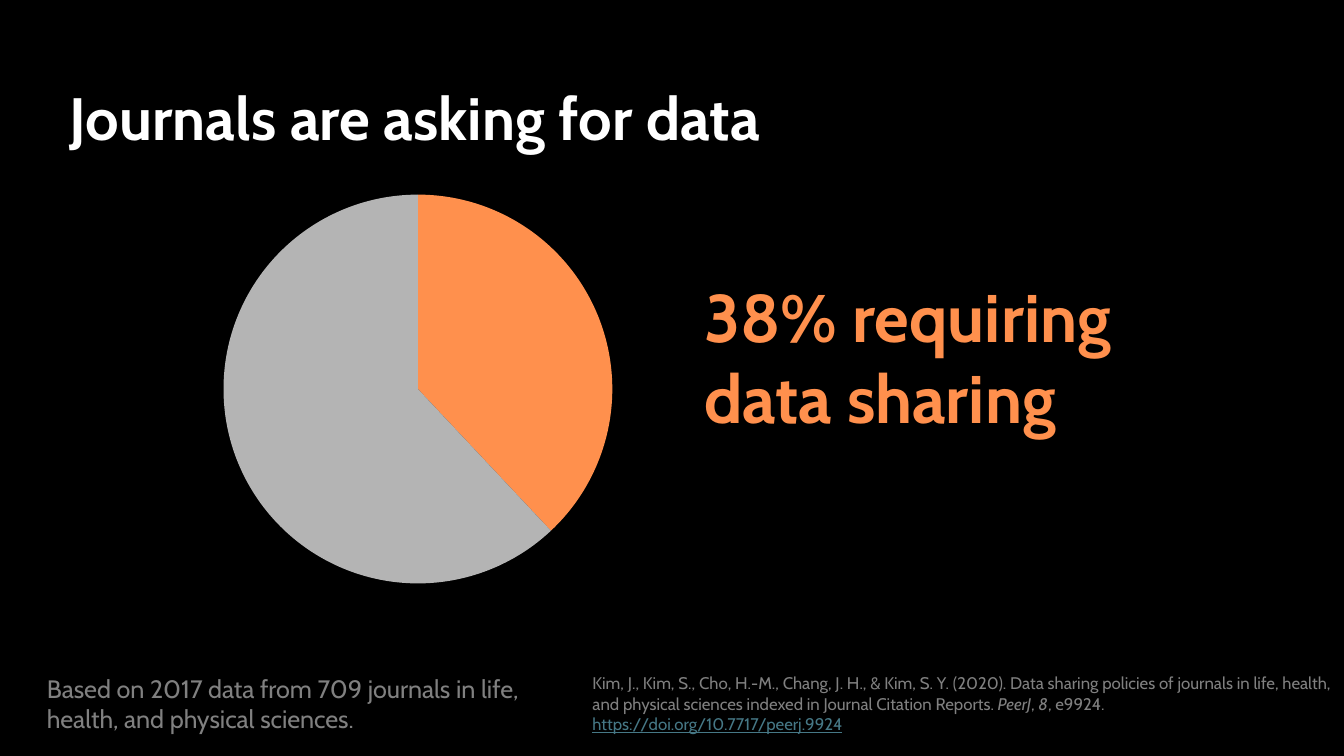
"""Build a slide with a pie chart of journals that require data sharing."""
from lxml import etree
from pptx import Presentation
from pptx.chart.data import CategoryChartData
from pptx.dml.color import RGBColor
from pptx.enum.chart import XL_CHART_TYPE
from pptx.enum.text import MSO_ANCHOR, MSO_AUTO_SIZE, PP_ALIGN
from pptx.oxml import parse_xml
from pptx.oxml.ns import nsdecls
from pptx.util import Inches, Pt

PIE = XL_CHART_TYPE.PIE
TOP = MSO_ANCHOR.TOP
NO_AUTOFIT = MSO_AUTO_SIZE.NONE
LEFT = PP_ALIGN.LEFT
FONT = "Cabin"
BLACK, WHITE, ORANGE = "000000", "FFFFFF", "FF904D"
LIGHT_GRAY, GRAY, LINK_BLUE = "B4B4B4", "808080", "467886"


def color(value):
    """Turn a hex string into a colour."""
    return RGBColor.from_string(value)


def write_text(shape, box, runs, size, **common):
    """Place a shape and fill it with one paragraph of formatted runs."""
    shape.left, shape.top, shape.width, shape.height = map(Inches, box)
    frame = shape.text_frame
    frame_format = {"word_wrap": True, "auto_size": NO_AUTOFIT, "vertical_anchor": TOP}
    for name, value in frame_format.items():
        setattr(frame, name, value)
    paragraph = frame.paragraphs[0]
    paragraph.alignment = LEFT
    for text, extra in runs:
        values = {"name": FONT, "size": Pt(size), "bold": False, **common, **extra}
        fill = values.pop("fill")
        for index, line in enumerate(text.split("\n")):
            if index:
                paragraph.add_line_break()
            run = paragraph.add_run()
            run.text = line
            run.font.color.rgb = color(fill)
            for name, value in values.items():
                setattr(run.font, name, value)


presentation = Presentation()
presentation.slide_width = Inches(10)
presentation.slide_height = Inches(10) * 9 // 16
slide = presentation.slides.add_slide(presentation.slide_layouts[5])
slide.background.fill.solid()
slide.background.fill.fore_color.rgb = color(BLACK)

write_text(slide.shapes.title, (0.42, 0.55, 6.07, 0.75),
           [("Journals are asking for data", {})], 32, fill=WHITE, bold=True)

chart_data = CategoryChartData()
chart_data.categories = ["1", "2"]
chart_data.add_series("Series 1", (38, 62))
chart = slide.shapes.add_chart(PIE, Inches(1.52), Inches(1.3), Inches(3.18),
                               Inches(3.19), chart_data).chart
chart.has_legend = False
chart.has_title = False
chart.font.name = FONT
chart.font.size = Pt(10)
chart.font.color.rgb = color(BLACK)
plot = chart.plots[0]
plot.vary_by_categories = False
for index, slice_color in enumerate((ORANGE, LIGHT_GRAY)):
    slice_format = plot.series[0].points[index].format
    slice_format.fill.solid()
    slice_format.fill.fore_color.rgb = color(slice_color)
    slice_format.line.fill.background()

plot_area = chart.element.chart.plotArea
for old_layout in plot_area.findall("{*}layout"):
    plot_area.remove(old_layout)
layout = parse_xml(f"<c:layout {nsdecls('c')}><c:manualLayout/></c:layout>")
layout_values = {"layoutTarget": "inner", "xMode": "edge", "yMode": "edge",
                 "x": "0.045", "y": "0.045", "w": "0.91", "h": "0.91"}
namespace = layout.nsmap["c"]
for name, value in layout_values.items():
    etree.SubElement(layout[0], f"{{{namespace}}}{name}").set("val", value)
plot_area.insert(0, layout)

citation = [
    ("Kim, J., Kim, S., Cho, H.-M., Chang, J. H., & Kim, S. Y. (2020). Data sharing "
     "policies of journals in life, health, and physical sciences indexed in "
     "Journal Citation Reports. ", {}),
    ("PeerJ", {"italic": True}),
    (", ", {}),
    ("8", {"italic": True}),
    (", e9924. ", {}),
    ("https://doi.org/10.7717/peerj.9924", {"fill": LINK_BLUE, "underline": True}),
]
basis = "Based on 2017 data from 709 journals in life, health, and physical sciences."
text_boxes = [
    ((0.25, 4.96, 3.81, 0.56), [(basis, {})], 13.5, {"fill": GRAY}),
    ((4.31, 4.96, 5.69, 0.56), citation, 9, {"fill": GRAY}),
    ((5.14, 2, 3.78, 1.33), [("38% requiring\ndata sharing", {})], 36,
     {"fill": ORANGE, "bold": True}),
]
for box, runs, size, common in text_boxes:
    text_box = slide.shapes.add_textbox(*map(Inches, box))
    write_text(text_box, box, runs, size, **common)

presentation.save("out.pptx")
